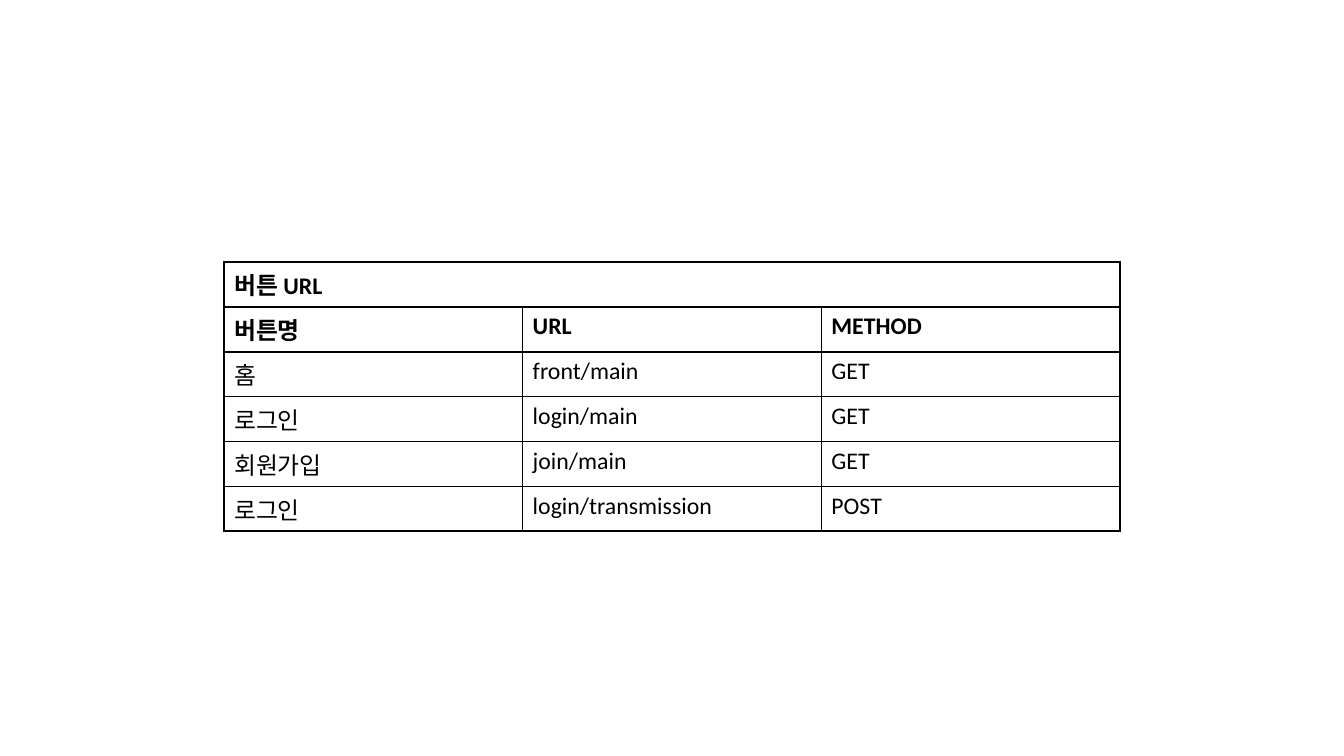
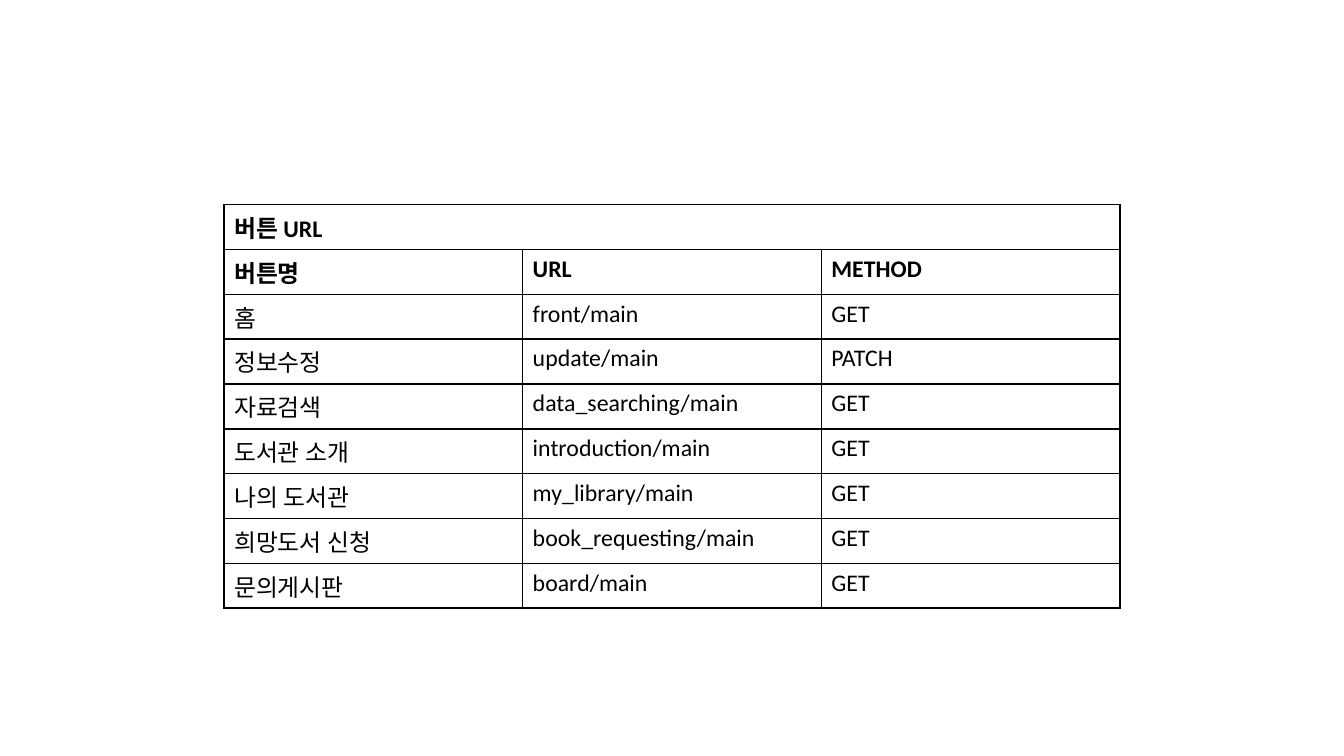
import dataclasses

import pptx
import pptx.dml.color
import pptx.oxml.ns
import pptx.util
import lxml.etree


@dataclasses.dataclass(frozen=True)
class Theme:
    font: str = "Calibri"
    text_size: float = 17
    ink: str = "000000"
    paper: str = "FFFFFF"
    border_width: float = 1.2


def write(frame, text, *, theme, bold=False):
    run = frame.paragraphs[0].add_run()
    run.text = text
    run.font.name = theme.font
    run.font.size = pptx.util.Pt(theme.text_size)
    run.font.bold = bold
    run.font.color.rgb = pptx.dml.color.RGBColor.from_string(theme.ink)


class Deck:
    GRID_COLUMNS = 18
    GRID_ROWS = 75

    def __init__(self, theme):
        self.theme = theme
        self.presentation = pptx.Presentation()
        self.presentation.slide_width = pptx.util.Inches(13.33)
        self.presentation.slide_height = pptx.util.Inches(7.5)
        self.slide = None

    def columns(self, count):
        return round(self.presentation.slide_width * count / self.GRID_COLUMNS)

    def rows(self, count):
        return round(self.presentation.slide_height * count / self.GRID_ROWS)

    def add_slide(self):
        self.slide = self.presentation.slides.add_slide(
            self.presentation.slide_layouts[6])

    def style_cell(self, cell):
        qn = pptx.oxml.ns.qn
        properties = cell._tc.get_or_add_tcPr()
        for side in ("lnL", "lnR", "lnT", "lnB"):
            border = lxml.etree.SubElement(
                properties, qn(f"a:{side}"),
                w=str(int(pptx.util.Pt(self.theme.border_width))))
            solid = lxml.etree.SubElement(border, qn("a:solidFill"))
            lxml.etree.SubElement(solid, qn("a:srgbClr"), val=self.theme.ink)
        cell.fill.solid()
        cell.fill.fore_color.rgb = pptx.dml.color.RGBColor.from_string(
            self.theme.paper)

    def add_table(self, title, headings, entries, *, left, top,
                  column_width, row_height):
        lines = [(title,), headings, *entries]
        table = self.slide.shapes.add_table(
            len(lines), len(headings), self.columns(left), self.rows(top),
            self.columns(column_width * len(headings)),
            self.rows(row_height * len(lines))).table
        table.first_row = table.horz_banding = False
        for column in table.columns:
            column.width = self.columns(column_width)
        for row in table.rows:
            row.height = self.rows(row_height)
        for cell in table.iter_cells():
            self.style_cell(cell)
        table.cell(0, 0).merge(table.cell(0, len(headings) - 1))
        for row_index, line in enumerate(lines):
            for column_index, text in enumerate(line):
                write(table.cell(row_index, column_index).text_frame, text,
                      theme=self.theme, bold=row_index < 2)


TITLE = "버튼 URL"
HEADINGS = ("버튼명", "URL", "METHOD")

GUEST_BUTTONS = [
    ("홈", "front/main", "GET"),
    ("로그인", "login/main", "GET"),
    ("회원가입", "join/main", "GET"),
    ("로그인", "login/transmission", "POST"),
]
MEMBER_BUTTONS = [
    ("홈", "front/main", "GET"),
    ("정보수정", "update/main", "PATCH"),
    ("자료검색", "data_searching/main", "GET"),
    ("도서관 소개", "introduction/main", "GET"),
    ("나의 도서관", "my_library/main", "GET"),
    ("희망도서 신청", "book_requesting/main", "GET"),
    ("문의게시판", "board/main", "GET"),
]


def main():
    deck = Deck(Theme())
    for top, buttons in ((26, GUEST_BUTTONS), (20.3, MEMBER_BUTTONS)):
        deck.add_slide()
        deck.add_table(TITLE, HEADINGS, buttons, left=3, top=top,
                       column_width=4, row_height=4.45)
    deck.presentation.save("out.pptx")


if __name__ == "__main__":
    main()
